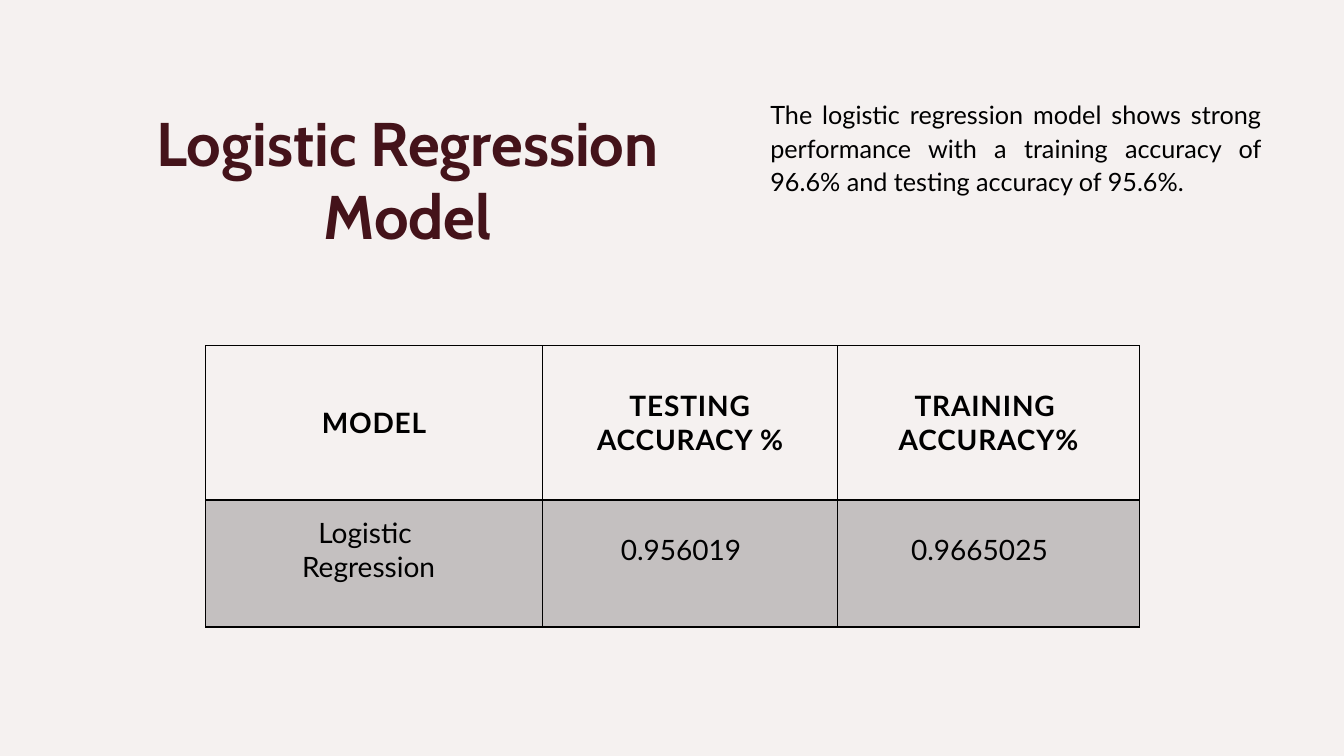
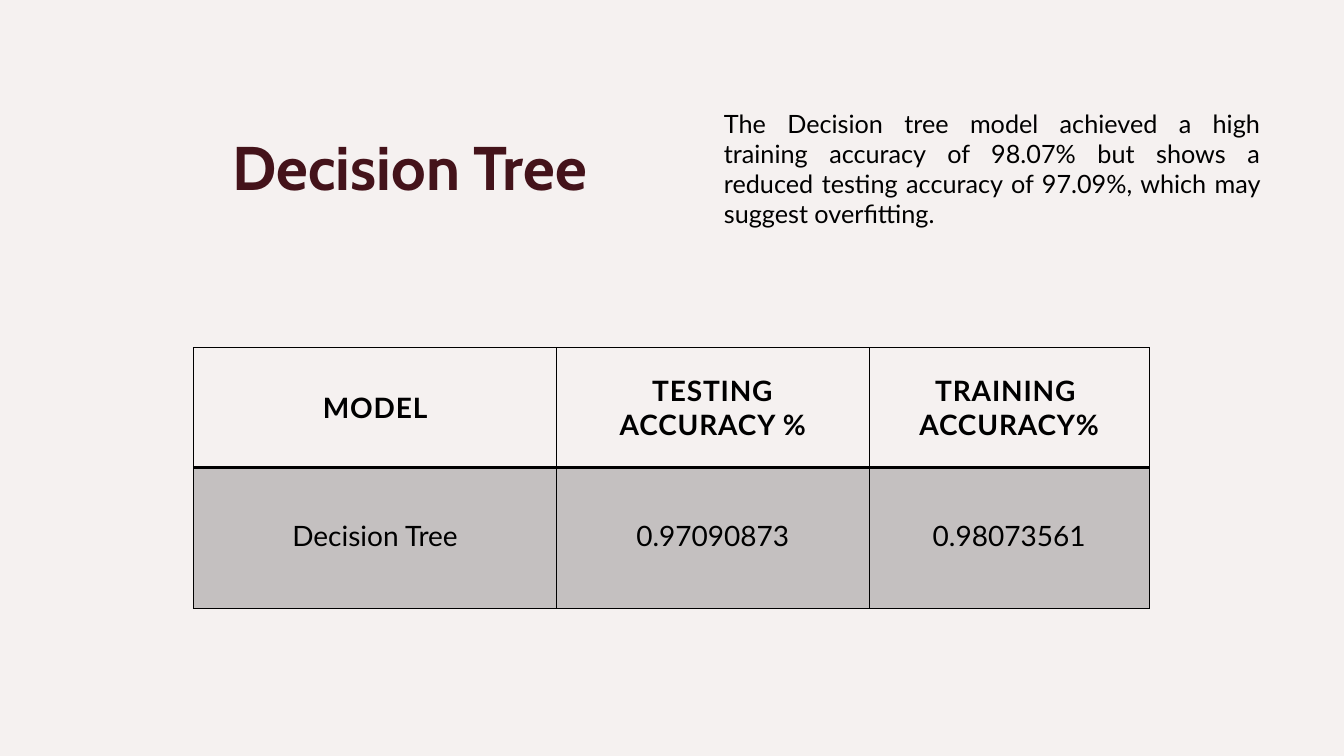
from lxml import etree
from pptx import Presentation
from pptx.dml.color import RGBColor
from pptx.enum import shapes, text
from pptx.oxml import ns
from pptx.util import Inches, Pt

COLORS = {"paper": "FFFFFF", "tint": "F2ECEA", "title": "44131A", "ink": "000000"}
SLIDE_SIZE = (13.33, 7.5)
TITLE_FONT = {"name": "Cabin", "size": Pt(44), "bold": True}
BODY_FONT = {"name": "Lato", "size": Pt(18), "bold": False}
HEADER_FONT = {"name": "Lato", "size": Pt(20), "bold": True}
VALUE_FONT = {"name": "Lato", "size": Pt(20), "bold": False}
HEADERS = ["MODEL", "TESTING ACCURACY %", "TRAINING \nACCURACY%"]
HEADER_MARGINS = [(0.29, 0.19, 0.29, 0.19)] * 2 + [(0.34, 0.19, 0.34, 0.19)]
TINT_PERCENT = 70
SHADE_PERCENT = 20

MODELS = [
    {
        "title": "Logistic Regression Model",
        "title_box": (0.96, 0.91, 6.17, 1.72),
        "summary": "The logistic regression model shows strong performance with "
                   "a training accuracy of 96.6% and testing accuracy of 95.6%.",
        "summary_box": (7.54, 0.91, 5.07, 1.72),
        "line_spacing": 1.1,
        "values": ["Logistic\n Regression", "0.956019", "0.9665025"],
        "value_margins": (0.14, 0.04, 0.32, 0.31),
        "table_corner": (2.04, 3.43),
        "columns": [3.34, 2.93, 2.99],
        "rows": [1.53, 1.26],
    },
    {
        "title": "Decision Tree",
        "title_box": (0.98, 0.79, 6.17, 1.72),
        "summary": "The Decision tree model achieved a high training accuracy of "
                   "98.07% but shows a reduced testing accuracy of 97.09%, which "
                   "may suggest overfitting.",
        "summary_box": (7.08, 1.02, 5.52, 1.72),
        "line_spacing": 1.0,
        "values": ["Decision Tree", "0.97090873", "0.98073561"],
        "value_margins": (0.29, 0.14, 0.29, 0.19),
        "table_corner": (1.92, 3.45),
        "columns": [3.6, 3.1, 2.78],
        "rows": [1.19, 1.4],
    },
]


def rgb(name):
    return RGBColor.from_string(COLORS[name])


def set_values(target, values):
    for name, value in values.items():
        setattr(target, name, value)


def fill_solid(target, color, properties, opacity):
    """Fill a shape or cell, whose XML properties are given, at an opacity in percent."""
    target.fill.solid()
    target.fill.fore_color.rgb = rgb(color)
    if opacity < 100:
        element = properties.find(ns.qn("a:solidFill")).find(ns.qn("a:srgbClr"))
        etree.SubElement(element, ns.qn("a:alpha"), val=str(opacity * 1000))


def add_backdrop(slide):
    layers = (("paper", 100), ("tint", TINT_PERCENT))
    for position, (color, opacity) in enumerate(layers, start=2):
        layer = slide.shapes.add_shape(shapes.MSO_SHAPE.RECTANGLE, 0, 0,
                                       *map(Inches, SLIDE_SIZE))
        layer.shadow.inherit = False
        layer.line.fill.background()
        fill_solid(layer, color, layer._element.spPr, opacity)
        slide.shapes._spTree.insert(position, layer._element)


def format_text(frame, font, color, paragraph_format):
    for paragraph in frame.paragraphs:
        set_values(paragraph, paragraph_format)
        for run in paragraph.runs:
            set_values(run.font, font)
            run.font.color.rgb = rgb(color)


def fill_placeholder(shape, box, words, anchor, font, color, paragraph_format):
    set_values(shape, dict(zip(("left", "top", "width", "height"), map(Inches, box))))
    frame = shape.text_frame
    frame.text = words
    set_values(frame, {"word_wrap": True, "vertical_anchor": anchor,
                       "auto_size": text.MSO_AUTO_SIZE.NONE})
    format_text(frame, font, color, paragraph_format)


def add_title(slide, box, words):
    fill_placeholder(slide.shapes.title, box, words, text.MSO_ANCHOR.MIDDLE,
                     TITLE_FONT, "title", {"alignment": text.PP_ALIGN.CENTER})


def add_summary(slide, box, words, line_spacing):
    body = slide.placeholders[1]
    fill_placeholder(body, box, words, text.MSO_ANCHOR.TOP, BODY_FONT, "ink",
                     {"alignment": text.PP_ALIGN.JUSTIFY, "space_before": Pt(0),
                      "space_after": Pt(6), "line_spacing": line_spacing})
    for paragraph in body.text_frame.paragraphs:
        properties = paragraph._p.get_or_add_pPr()
        properties.set("marL", "0")
        properties.set("indent", "0")
        etree.SubElement(properties, ns.qn("a:buNone"))


def add_borders(cell, bottom_width):
    properties = cell._tc.get_or_add_tcPr()
    for side, width in (("L", 1), ("R", 1), ("T", 1), ("B", bottom_width)):
        line = etree.SubElement(properties, ns.qn(f"a:ln{side}"), w=str(Pt(width)))
        fill = etree.SubElement(line, ns.qn("a:solidFill"))
        etree.SubElement(fill, ns.qn("a:srgbClr"), val=COLORS["ink"])


def fill_cell(cell, words, margins, font):
    cell.text = words
    cell.vertical_anchor = text.MSO_ANCHOR.MIDDLE
    sides = ("margin_left", "margin_top", "margin_right", "margin_bottom")
    set_values(cell, dict(zip(sides, map(Inches, margins))))
    format_text(cell.text_frame, font, "ink", {"alignment": text.PP_ALIGN.CENTER})


def add_header_cell(cell, words, margins):
    fill_cell(cell, words, margins, HEADER_FONT)
    for paragraph in cell.text_frame.paragraphs:
        for run in paragraph.runs:
            run._r.get_or_add_rPr().set("spc", "60")
    add_borders(cell, 2)
    cell.fill.background()


def add_value_cell(cell, words, margins):
    fill_cell(cell, words, margins, VALUE_FONT)
    add_borders(cell, 1)
    fill_solid(cell, "ink", cell._tc.tcPr, SHADE_PERCENT)


def add_accuracy_table(slide, corner, columns, rows, values, value_margins):
    box = (*corner, sum(columns), sum(rows))
    table = slide.shapes.add_table(len(rows), len(columns), *map(Inches, box)).table
    set_values(table, {"first_row": False, "horz_banding": False})
    for row, height in zip(table.rows, rows):
        row.height = Inches(height)
    for index, width in enumerate(columns):
        table.columns[index].width = Inches(width)
        add_header_cell(table.cell(0, index), HEADERS[index], HEADER_MARGINS[index])
        add_value_cell(table.cell(1, index), values[index], value_margins)


def add_model_slide(presentation, model):
    slide = presentation.slides.add_slide(presentation.slide_layouts[1])
    add_backdrop(slide)
    add_title(slide, model["title_box"], model["title"])
    add_summary(slide, model["summary_box"], model["summary"], model["line_spacing"])
    add_accuracy_table(slide, model["table_corner"], model["columns"], model["rows"],
                       model["values"], model["value_margins"])


def main():
    presentation = Presentation()
    presentation.slide_width, presentation.slide_height = map(Inches, SLIDE_SIZE)
    for model in MODELS:
        add_model_slide(presentation, model)
    presentation.save("out.pptx")


if __name__ == "__main__":
    main()
